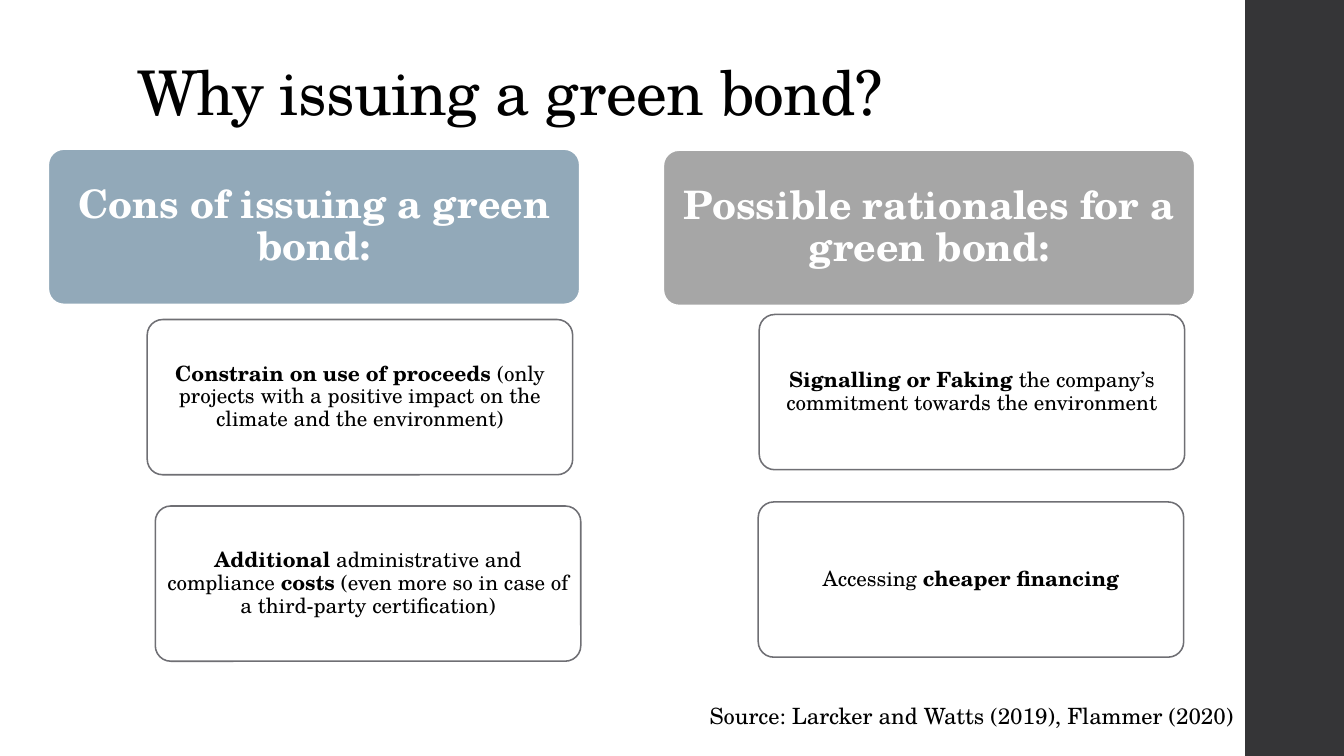
from dataclasses import dataclass

from lxml import etree
from pptx import Presentation
from pptx.dml.color import RGBColor
from pptx.enum.shapes import MSO_SHAPE
from pptx.enum.text import MSO_ANCHOR, MSO_AUTO_SIZE, PP_ALIGN
from pptx.oxml.ns import qn
from pptx.util import Emu, Pt

RECTANGLE, ROUNDED = MSO_SHAPE.RECTANGLE, MSO_SHAPE.ROUNDED_RECTANGLE
MIDDLE, BOTTOM = MSO_ANCHOR.MIDDLE, MSO_ANCHOR.BOTTOM
LEFT, CENTER = PP_ALIGN.LEFT, PP_ALIGN.CENTER
NO_FIT, GROW = MSO_AUTO_SIZE.NONE, MSO_AUTO_SIZE.SHAPE_TO_FIT_TEXT
EMU_PER_PX = 9144  # 100 px to the inch


@dataclass(frozen=True)
class Theme:
    font: str = "TeX Gyre Schola"
    ink: str = "000000"
    paper: str = "FFFFFF"
    sidebar: str = "353537"
    cons: str = "92A9B9"
    rationales: str = "A6A6A6"
    outline: str = "6F6F74"
    title_size: int = 44
    heading_size: int = 28
    source_size: int = 16
    reason_size: int = 15
    outline_width: float = 1.1


THEME = Theme()
HEADING_SIZE = (527, 154)
REASON_SIZE = (422, 154)

# Heading, its fill and place, then each reason's place and (text, bold) runs
COLUMNS = [
    ("Cons of issuing a green bond:", THEME.cons, (48, 148), [
        ((146, 317), [
            ("Constrain on use of proceeds", True),
            (" (only projects with a positive impact on the climate "
             "and the environment)", False)]),
        ((154, 502), [
            ("Additional", True),
            (" administrative and compliance ", False),
            ("costs", True),
            (" (even more so in case of a third-party certification)", False)]),
    ]),
    ("Possible rationales for a green bond:", THEME.rationales, (658, 149), [
        ((753, 312), [
            ("Signalling or Faking", True),
            (" the company’s commitment towards the environment", False)]),
        ((752, 498), [
            ("Accessing ", False),
            ("cheaper financing", True)]),
    ]),
]


def px(length):
    return Emu(length * EMU_PER_PX)


def apply(target, formats):
    for attribute, value in formats.items():
        setattr(target, attribute, value)


def write(frame, runs, size, color, align=LEFT, spacing=1.0):
    """Fill the frame's first paragraph with (text, bold) runs."""
    paragraph = frame.paragraphs[0]
    apply(paragraph, {"alignment": align, "line_spacing": spacing})
    for text, bold in runs:
        run = paragraph.add_run()
        run.text = text
        apply(run.font, {"name": THEME.font, "size": Pt(size), "bold": bold})
        run.font.color.rgb = RGBColor.from_string(color)
    return paragraph


def add_block(slide, kind, place, size, fill):
    block = slide.shapes.add_shape(kind, *map(px, place + size))
    block.shadow.inherit = False
    block.fill.solid()
    block.fill.fore_color.rgb = RGBColor.from_string(fill)
    block.line.fill.background()
    return block


def add_card(slide, place, size, fill, outline, runs, text_size, color, inset):
    """Add a rounded box with centred text; inset is (side, top and bottom)."""
    card = add_block(slide, ROUNDED, place, size, fill)
    card.adjustments[0] = 0.1
    card.line.color.rgb = RGBColor.from_string(outline)
    card.line.width = Pt(THEME.outline_width)
    side, edge = map(px, inset)
    apply(card.text_frame, {
        "word_wrap": True, "vertical_anchor": MIDDLE,
        "margin_left": side, "margin_right": side,
        "margin_top": edge, "margin_bottom": edge})
    write(card.text_frame, runs, text_size, color, CENTER, 0.9)
    return card


def add_heading(slide, text, fill, place):
    add_card(slide, place, HEADING_SIZE, fill, THEME.paper, [(text, True)],
             THEME.heading_size, THEME.paper, (9, 4))


def add_reason(slide, place, runs):
    card = add_card(slide, place, REASON_SIZE, THEME.paper, THEME.outline, runs,
                    THEME.reason_size, THEME.ink, (6, 2))
    color = card.fill._xPr.find(qn("a:solidFill"))[0]
    etree.SubElement(color, qn("a:alpha")).set("val", "90000")


def add_title(slide, text):
    title = slide.shapes.title
    apply(title, {"left": px(126), "top": px(49),
                  "width": px(1072), "height": px(84)})
    apply(title.text_frame, {"word_wrap": True, "vertical_anchor": BOTTOM,
                             "auto_size": NO_FIT})
    paragraph = write(title.text_frame, [(text, False)], THEME.title_size,
                      THEME.ink, spacing=0.9)
    paragraph.runs[0].font._element.set("spc", "-50")


def add_source(slide, text):
    source = slide.shapes.add_textbox(*map(px, (694, 692, 555, 37)))
    apply(source.text_frame, {"word_wrap": True, "auto_size": GROW})
    write(source.text_frame, [(text, False)], THEME.source_size, THEME.ink)


def main():
    deck = Presentation()
    apply(deck, {"slide_width": px(1333), "slide_height": px(750)})
    slide = deck.slides.add_slide(deck.slide_layouts[5])
    add_block(slide, RECTANGLE, (1235, 0), (98, 750), THEME.sidebar)
    add_title(slide, "Why issuing a green bond?")
    add_source(slide, "Source: Larcker and Watts (2019), Flammer (2020)")
    for heading, fill, place, reasons in COLUMNS:
        add_heading(slide, heading, fill, place)
        for reason_place, runs in reasons:
            add_reason(slide, reason_place, runs)
    deck.save("out.pptx")


if __name__ == "__main__":
    main()
